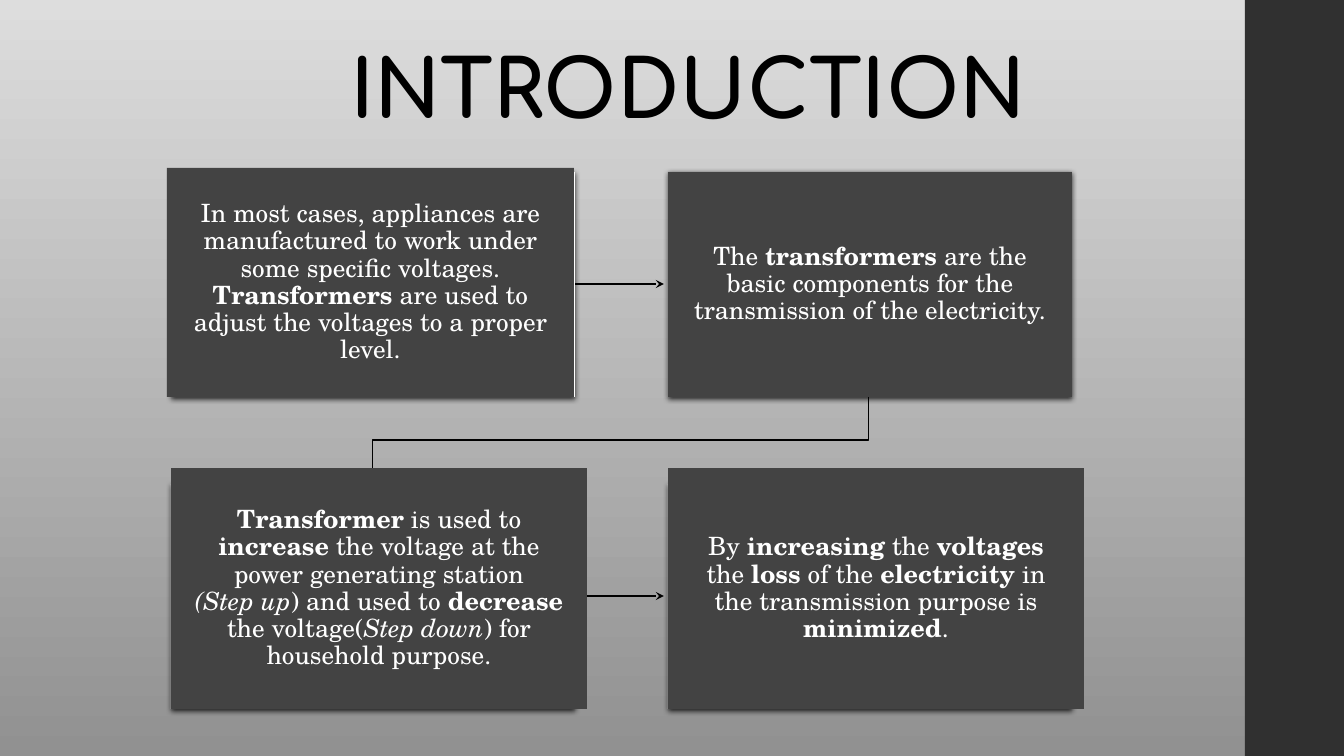
from dataclasses import dataclass
from typing import Any, NamedTuple

from lxml import etree
from pptx import Presentation, util as u
from pptx.dml.color import RGBColor
from pptx.enum import shapes, text
from pptx.oxml import ns

PX = 914400 / 100.8


@dataclass(frozen=True)
class Theme:
    sky: str = "DDDDDD"
    ground: str = "919191"
    band: str = "303030"
    card: str = "434343"
    paper: str = "FFFFFF"
    ink: str = "000000"
    heading_font: str = "Comfortaa"
    body_font: str = "TeX Gyre Schola"
    heading_size: int = 57
    body_size: int = 18
    line_width: float = 0.75


class Area(NamedTuple):
    left: int
    top: int
    width: int
    height: int


class Span(NamedTuple):
    words: str
    bold: bool = False
    italic: bool = False


class Card(NamedTuple):
    backing: Area
    face: Area
    paragraphs: list[list[Span]]


THEME = Theme()
COLUMNS = (171, 668)
ROWS = (172, 484)
BACKING_SIZE = (404, 225)
FACE_SIZE = (416, 241)


def backing_area(column: int, row: int) -> Area:
    return Area(COLUMNS[column], ROWS[row], *BACKING_SIZE)


CARDS = [
    Card(backing_area(0, 0), Area(167, 168, 407, 229), [
        [Span("In most cases, appliances are manufactured to work under some specific voltages.")],
        [Span("Transformers", bold=True),
         Span(" are used to adjust the voltages to a proper level.")],
    ]),
    Card(backing_area(1, 0), backing_area(1, 0), [
        [Span("The "), Span("transformers", bold=True),
         Span(" are the basic components for the transmission of the electricity.")],
    ]),
    Card(backing_area(0, 1), Area(COLUMNS[0], 468, *FACE_SIZE), [
        [Span("Transformer", bold=True), Span(" is used to "),
         Span("increase", bold=True),
         Span(" the voltage at the power generating station")],
        [Span("(Step up", italic=True), Span(") and used to "),
         Span("decrease", bold=True), Span(" the voltage("),
         Span("Step down", italic=True), Span(") for household purpose.")],
    ]),
    Card(backing_area(1, 1), Area(COLUMNS[1], 468, *FACE_SIZE), [
        [Span("By "), Span("increasing", bold=True), Span(" the "),
         Span("voltages", bold=True), Span(" the "), Span("loss", bold=True),
         Span(" of the "), Span("electricity", bold=True),
         Span(" in the transmission purpose is "),
         Span("minimized", bold=True), Span(".")],
    ]),
]
ARROW_START, ARROW_END = 575, 664
ARROW_HEIGHTS = (284, 596)
ELBOW = [(869, 397), (869, 440), (373, 440), (373, 480)]


def emu(px: int) -> u.Emu:
    return u.Emu(round(px * PX))


def rgb(code: str) -> RGBColor:
    return RGBColor.from_string(code)


def add_block(page: Any, area: Area, color: str) -> Any:
    """Add a flat rectangle with neither outline nor shadow."""
    box = page.shapes.add_shape(shapes.MSO_SHAPE.RECTANGLE, *map(emu, area))
    box.shadow.inherit = False
    box.fill.solid()
    box.fill.fore_color.rgb = rgb(color)
    box.line.fill.background()
    return box


def add_shadow(box: Any) -> None:
    effects = box._element.spPr.find(ns.qn("a:effectLst"))
    shadow = etree.SubElement(effects, ns.qn("a:outerShdw"), {
        "blurRad": str(u.Pt(4)), "dist": str(u.Pt(1.2)),
        "dir": "5400000", "algn": "ctr", "rotWithShape": "0"})
    color = etree.SubElement(shadow, ns.qn("a:srgbClr"), val=THEME.ink)
    etree.SubElement(color, ns.qn("a:alpha"), val="75000")


def style_arrow(arrow: Any) -> None:
    arrow.line.color.rgb = rgb(THEME.ink)
    arrow.line.width = u.Pt(THEME.line_width)
    etree.SubElement(arrow.line._get_or_add_ln(), ns.qn("a:tailEnd"), type="stealth")


def add_arrow(page: Any, height: int) -> None:
    arrow = page.shapes.add_connector(
        shapes.MSO_CONNECTOR.STRAIGHT,
        emu(ARROW_START), emu(height), emu(ARROW_END), emu(height))
    style_arrow(arrow)
    etree.SubElement(arrow._element.spPr, ns.qn("a:effectLst"))


def add_elbow(page: Any) -> None:
    start, *bends = ELBOW
    builder = page.shapes.build_freeform(*start, scale=PX)
    builder.add_line_segments(bends, close=False)
    elbow = builder.convert_to_shape()
    elbow.shadow.inherit = False
    elbow.fill.background()
    style_arrow(elbow)


def add_span(para: Any, words: Span, font: str, size: int, color: str) -> None:
    span = para.add_run()
    span.text = words.words
    span.font.name = font
    span.font.size = u.Pt(size)
    span.font.bold = words.bold
    span.font.italic = words.italic
    span.font.color.rgb = rgb(color)


def add_card_face(page: Any, card: Card) -> None:
    frame = add_block(page, card.face, THEME.card).text_frame
    frame.word_wrap = True
    frame.vertical_anchor = text.MSO_ANCHOR.MIDDLE
    frame.margin_left = frame.margin_right = emu(20)
    frame.margin_top = frame.margin_bottom = emu(21)
    for index, spans in enumerate(card.paragraphs):
        para = frame.add_paragraph() if index else frame.paragraphs[0]
        para.alignment = text.PP_ALIGN.CENTER
        para.line_spacing = 0.9
        for words in spans:
            add_span(para, words, THEME.body_font, THEME.body_size, THEME.paper)


def add_title(page: Any) -> None:
    frame = page.shapes.add_textbox(*map(emu, Area(53, -88, 1181, 229))).text_frame
    frame.word_wrap = True
    frame.vertical_anchor = text.MSO_ANCHOR.BOTTOM
    frame.margin_left = emu(297)
    para = frame.paragraphs[0]
    para.line_spacing = 0.9
    add_span(para, Span("INTRODUCTION", bold=True),
             THEME.heading_font, THEME.heading_size, THEME.ink)


def paint_background(page: Any) -> None:
    fill = page.background.fill
    fill.gradient()
    fill.gradient_angle = 270
    for stop, color in zip(fill.gradient_stops, (THEME.sky, THEME.ground)):
        stop.color.rgb = rgb(color)


def main() -> None:
    deck = Presentation()
    deck.slide_width, deck.slide_height = emu(1344), emu(756)
    page = deck.slides.add_slide(deck.slide_layouts[6])
    paint_background(page)
    add_block(page, Area(1245, 0, 99, 756), THEME.band)
    add_title(page)
    for height in ARROW_HEIGHTS:
        add_arrow(page, height)
    add_elbow(page)
    for card in CARDS:
        add_shadow(add_block(page, card.backing, THEME.paper))
        add_card_face(page, card)
    deck.save("out.pptx")


if __name__ == "__main__":
    main()
